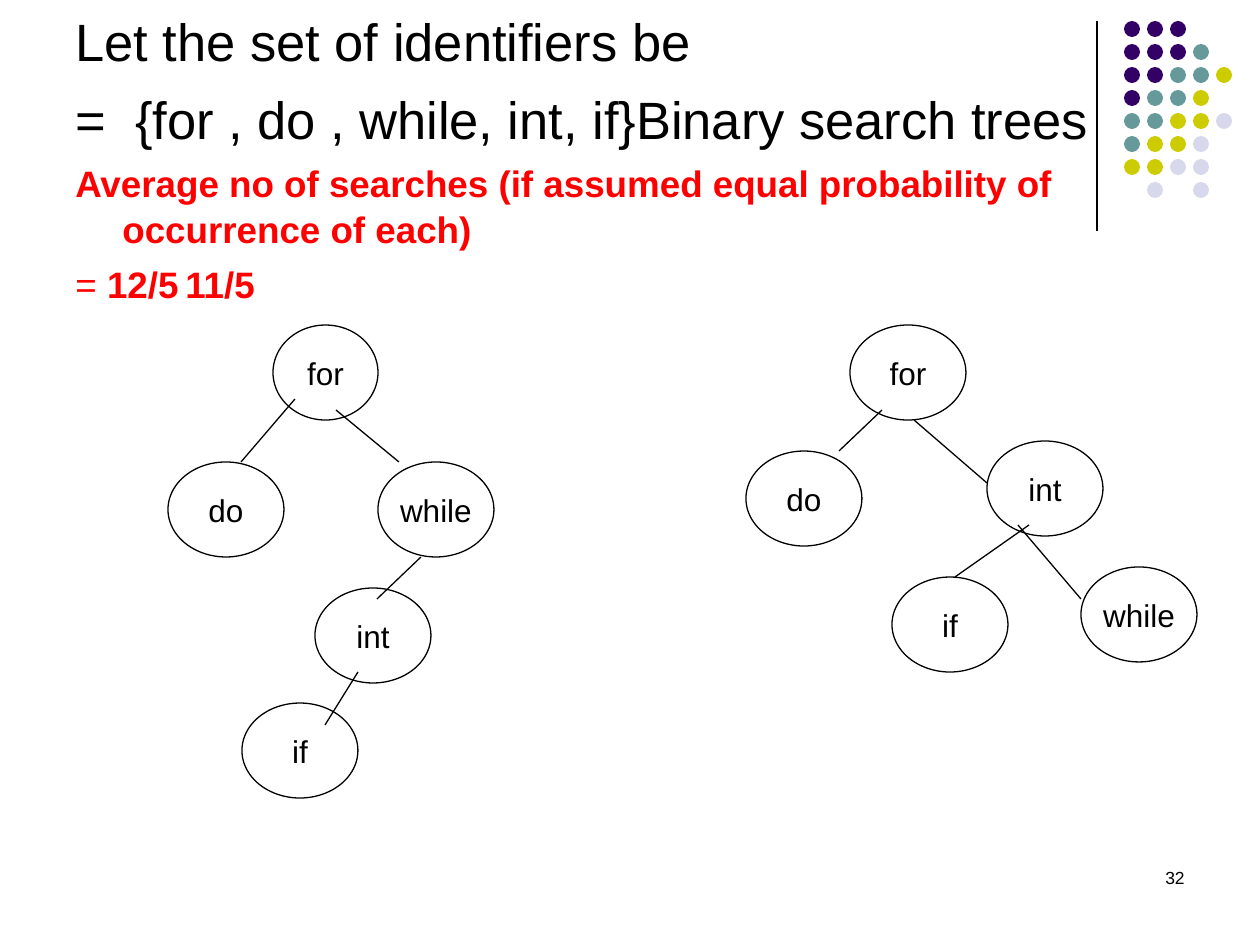
from dataclasses import dataclass

from lxml import etree
from pptx import Presentation
from pptx.dml.color import RGBColor
from pptx.enum.shapes import MSO_CONNECTOR, MSO_SHAPE
from pptx.enum.text import MSO_ANCHOR, PP_ALIGN
from pptx.oxml.ns import qn
from pptx.util import Emu, Pt

ELLIPSE = MSO_SHAPE.OVAL
STRAIGHT = MSO_CONNECTOR.STRAIGHT
MIDDLE = MSO_ANCHOR.MIDDLE
CENTER, RIGHT = PP_ALIGN.CENTER, PP_ALIGN.RIGHT

PX_PER_INCH = 126
BLACK, WHITE, RED = "000000", "FFFFFF", "FF0000"
FONT = "Arial"
LINE_POINTS = 0.75
HANGING_INDENT = 47
TAB_STOP = 126

DOT_LEFT, DOT_TOP, DOT_PITCH, DOT_SIZE = 1124, 21, 23, 16
DOT_COLORS = {"P": "330066", "T": "669999", "Y": "CCCC00", "L": "D8D8EC"}
DOT_ROWS = ["PPP", "PPPT", "PPTTY", "PTTY", "TTYYL", "TYYL", "YYLL", " L L"]


@dataclass
class Node:
    label: str
    left: int
    top: int
    width: int = 116
    height: int = 95


@dataclass
class Edge:
    x1: int
    y1: int
    x2: int
    y2: int


@dataclass
class TextLine:
    runs: list[tuple[str, bool]]
    size: int
    color: str
    space_before: float


NODES = [
    Node("for", 273, 325, width=105),
    Node("if", 242, 703),
    Node("int", 315, 588),
    Node("while", 378, 462),
    Node("do", 168, 462),
    Node("for", 850, 325),
    Node("int", 987, 441),
    Node("while", 1081, 567),
    Node("if", 892, 577),
    Node("do", 746, 451),
]
EDGES = [
    Edge(295, 399, 241, 462),
    Edge(336, 410, 399, 462),
    Edge(421, 557, 377, 599),
    Edge(358, 672, 325, 725),
    Edge(882, 410, 839, 451),
    Edge(914, 420, 987, 483),
    Edge(1029, 525, 955, 577),
    Edge(1018, 525, 1081, 599),
]
TEXT_LINES = [
    TextLine([("Let the set of identifiers be", False)], 30, BLACK, 0),
    TextLine([("=  {for , do , while, int, if}Binary search trees", False)], 30, BLACK, 7.5),
    TextLine(
        [("Average no of searches (if assumed equal probability of occurrence of each)", True)],
        21, RED, 5.2,
    ),
    TextLine([("= ", False), ("12/5\t11/5", True)], 21, RED, 5.2),
]


def px(value: int) -> Emu:
    return Emu(round(value * 914400 / PX_PER_INCH))


def rgb(color: str) -> RGBColor:
    return RGBColor.from_string(color)


def set_font(font, size: int, color: str, bold: bool = False) -> None:
    for name, value in {"name": FONT, "size": Pt(size), "bold": bold}.items():
        setattr(font, name, value)
    font.color.rgb = rgb(color)


def add_ellipse(slide, left: int, top: int, width: int, height: int, fill: str):
    shape = slide.shapes.add_shape(ELLIPSE, px(left), px(top), px(width), px(height))
    shape.shadow.inherit = False
    shape.fill.solid()
    shape.fill.fore_color.rgb = rgb(fill)
    shape.line.fill.background()
    return shape


def add_dots(slide) -> None:
    for row, codes in enumerate(DOT_ROWS):
        for column, code in enumerate(codes):
            if code in DOT_COLORS:
                left = DOT_LEFT + column * DOT_PITCH
                top = DOT_TOP + row * DOT_PITCH
                add_ellipse(slide, left, top, DOT_SIZE, DOT_SIZE, DOT_COLORS[code])


def add_node(slide, node: Node) -> None:
    shape = add_ellipse(slide, node.left, node.top, node.width, node.height, WHITE)
    shape.line.color.rgb = rgb(BLACK)
    shape.line.width = Pt(LINE_POINTS)
    frame = shape.text_frame
    for name, value in {"word_wrap": False, "vertical_anchor": MIDDLE}.items():
        setattr(frame, name, value)
    paragraph = frame.paragraphs[0]
    paragraph.text = node.label
    paragraph.alignment = CENTER
    set_font(paragraph.runs[0].font, 18, BLACK)


def add_edge(slide, edge: Edge) -> None:
    connector = slide.shapes.add_connector(
        STRAIGHT, px(edge.x1), px(edge.y1), px(edge.x2), px(edge.y2)
    )
    connector.line.color.rgb = rgb(BLACK)
    connector.line.width = Pt(LINE_POINTS)
    etree.SubElement(connector._element.spPr, qn("a:effectLst"))


def add_text_frame(slide, left: int, top: int, width: int, height: int):
    box = slide.shapes.add_textbox(px(left), px(top), px(width), px(height))
    box.text_frame.word_wrap = True
    return box.text_frame


def add_statement(slide) -> None:
    frame = add_text_frame(slide, 63, 0, 1134, 945)
    for index, line in enumerate(TEXT_LINES):
        paragraph = frame.add_paragraph() if index else frame.paragraphs[0]
        properties = paragraph._p.get_or_add_pPr()
        properties.set("marL", str(px(HANGING_INDENT)))
        properties.set("indent", str(-px(HANGING_INDENT)))
        tabs = etree.SubElement(properties, qn("a:tabLst"))
        etree.SubElement(tabs, qn("a:tab"), pos=str(px(TAB_STOP)), algn="l")
        paragraph.line_spacing = 1.04
        paragraph.space_before = Pt(line.space_before)
        for text, bold in line.runs:
            run = paragraph.add_run()
            run.text = text
            set_font(run.font, line.size, line.color, bold)


def add_slide_number(slide) -> None:
    paragraph = add_text_frame(slide, 903, 861, 294, 62).paragraphs[0]
    paragraph.text = "32"
    paragraph.alignment = RIGHT
    set_font(paragraph.runs[0].font, 10, BLACK)


def main() -> None:
    presentation = Presentation()
    presentation.slide_width = px(1260)
    presentation.slide_height = px(945)
    slide = presentation.slides.add_slide(presentation.slide_layouts[6])
    add_edge(slide, Edge(1097, 21, 1097, 231))
    add_dots(slide)
    add_slide_number(slide)
    add_statement(slide)
    for node in NODES:
        add_node(slide, node)
    for edge in EDGES:
        add_edge(slide, edge)
    presentation.save("out.pptx")


if __name__ == "__main__":
    main()
